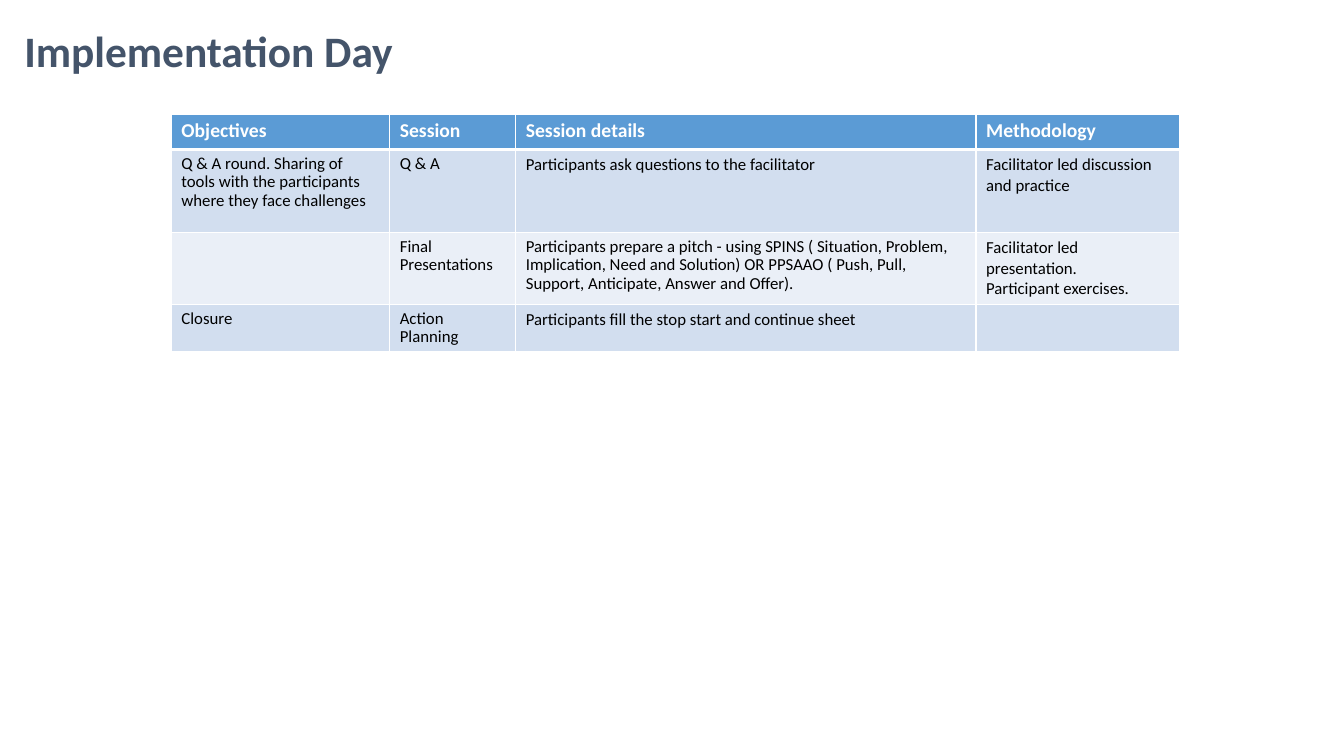
from dataclasses import dataclass

from lxml.etree import SubElement
from pptx import Presentation
from pptx.dml.color import RGBColor
from pptx.enum.text import MSO_ANCHOR, MSO_AUTO_SIZE, PP_ALIGN
from pptx.oxml.ns import qn
from pptx.slide import Slide
from pptx.table import _Cell
from pptx.util import Emu, Inches, Pt

FONT = "Calibri"
COLORS = {
    "title": "44546A",
    "header": "5B9BD5",
    "odd": "D2DEEF",
    "even": "EAEFF7",
    "white": "FFFFFF",
    "black": "000000",
}
SLIDE_WIDTH = Inches(40 / 3)
SLIDE_HEIGHT = Inches(7.5)
GRID_COLUMNS = 160
GRID_ROWS = 90


@dataclass(frozen=True)
class Area:
    left: float
    top: float
    width: float
    height: float


@dataclass(frozen=True)
class AgendaRow:
    height: float
    texts: tuple[str, ...]
    tight: tuple[int, ...] = ()


TITLE_AREA = Area(1.7, 2.3, 88, 7.4)
TABLE_LEFT, TABLE_TOP = 20.4, 13.6
COLUMN_WIDTHS = (26, 15, 54.8, 24.2)
AGENDA = (
    AgendaRow(4.2, ("Objectives", "Session", "Session details", "Methodology")),
    AgendaRow(9.9, (
        "Q & A round. Sharing of tools with the participants where they face challenges",
        "Q & A",
        "Participants ask questions to the facilitator",
        "Facilitator led discussion and practice",
    ), (0, 1)),
    AgendaRow(8.4, (
        "",
        "Final Presentations",
        "Participants prepare a pitch - using SPINS ( Situation, Problem, Implication, "
        "Need and Solution) OR PPSAAO ( Push, Pull, Support, Anticipate, Answer and Offer).",
        "Facilitator led presentation.\nParticipant exercises.",
    ), (1, 2)),
    AgendaRow(5.5, (
        "Closure",
        "Action Planning",
        "Participants fill the stop start and continue sheet",
        "",
    ), (0, 1)),
)


def across(columns: float) -> Emu:
    return Emu(round(SLIDE_WIDTH * columns / GRID_COLUMNS))


def down(rows: float) -> Emu:
    return Emu(round(SLIDE_HEIGHT * rows / GRID_ROWS))


def color(name: str) -> RGBColor:
    return RGBColor.from_string(COLORS[name])


def add_title(page: Slide, text: str, area: Area) -> None:
    title = page.shapes.title
    title.left, title.top = across(area.left), down(area.top)
    title.width, title.height = across(area.width), down(area.height)
    frame = title.text_frame
    frame.text = text
    frame.word_wrap = True
    frame.auto_size = MSO_AUTO_SIZE.NONE
    frame.vertical_anchor = MSO_ANCHOR.MIDDLE
    para = frame.paragraphs[0]
    para.alignment = PP_ALIGN.LEFT
    para.font.name = FONT
    para.font.size = Pt(31)
    para.font.bold = True
    para.font.color.rgb = color("title")


def add_border(cell: _Cell, side: str, points: float) -> None:
    properties = cell._tc.get_or_add_tcPr()
    line = SubElement(properties, qn(f"a:ln{side}"), w=str(Pt(points)))
    fill = SubElement(line, qn("a:solidFill"))
    SubElement(fill, qn("a:srgbClr"), val=COLORS["white"])


def format_cell(cell: _Cell, text: str, row_index: int, tight: bool) -> None:
    is_header = row_index == 0
    widths = {"L": 1, "R": 1, "T": 3 if row_index == 1 else 1, "B": 3 if is_header else 1}
    for side, points in widths.items():
        add_border(cell, side, points)
    cell.fill.solid()
    band = "odd" if row_index % 2 else "even"
    cell.fill.fore_color.rgb = color("header" if is_header else band)
    cell.text_frame.text = text
    for para in cell.text_frame.paragraphs:
        if tight:
            para.line_spacing = 0.9
        para.font.name = FONT
        para.font.size = Pt(14 if is_header else 12)
        para.font.bold = is_header
        para.font.color.rgb = color("white" if is_header else "black")


def add_agenda(page: Slide, agenda: tuple[AgendaRow, ...]) -> None:
    table = page.shapes.add_table(
        len(agenda), len(COLUMN_WIDTHS),
        across(TABLE_LEFT), down(TABLE_TOP),
        across(sum(COLUMN_WIDTHS)), down(sum(row.height for row in agenda)),
    ).table
    for column, width in zip(table.columns, COLUMN_WIDTHS):
        column.width = across(width)
    for row_index, row in enumerate(agenda):
        table.rows[row_index].height = down(row.height)
        for column_index, text in enumerate(row.texts):
            cell = table.cell(row_index, column_index)
            format_cell(cell, text, row_index, column_index in row.tight)


def main() -> None:
    deck = Presentation()
    deck.slide_width, deck.slide_height = SLIDE_WIDTH, SLIDE_HEIGHT
    page = deck.slides.add_slide(deck.slide_layouts.get_by_name("Title Only"))
    add_title(page, "Implementation Day", TITLE_AREA)
    add_agenda(page, AGENDA)
    deck.save("out.pptx")


if __name__ == "__main__":
    main()
